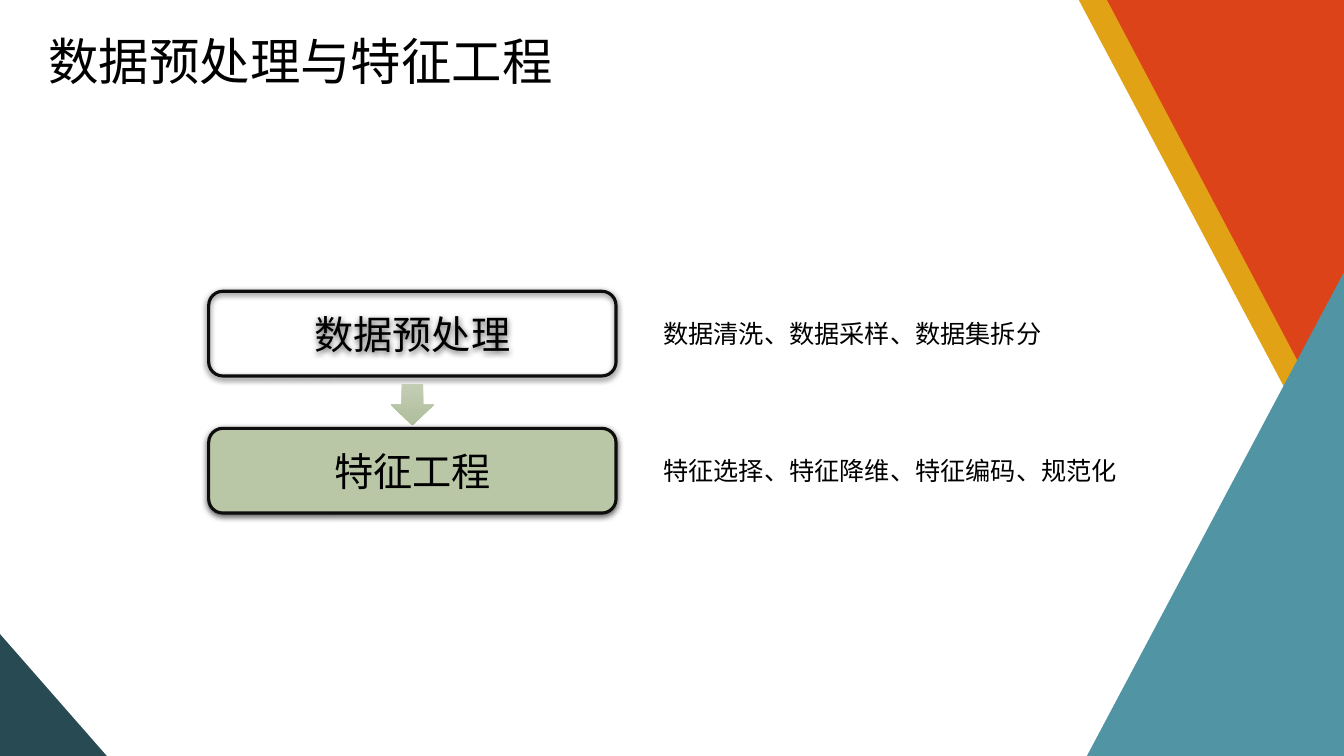
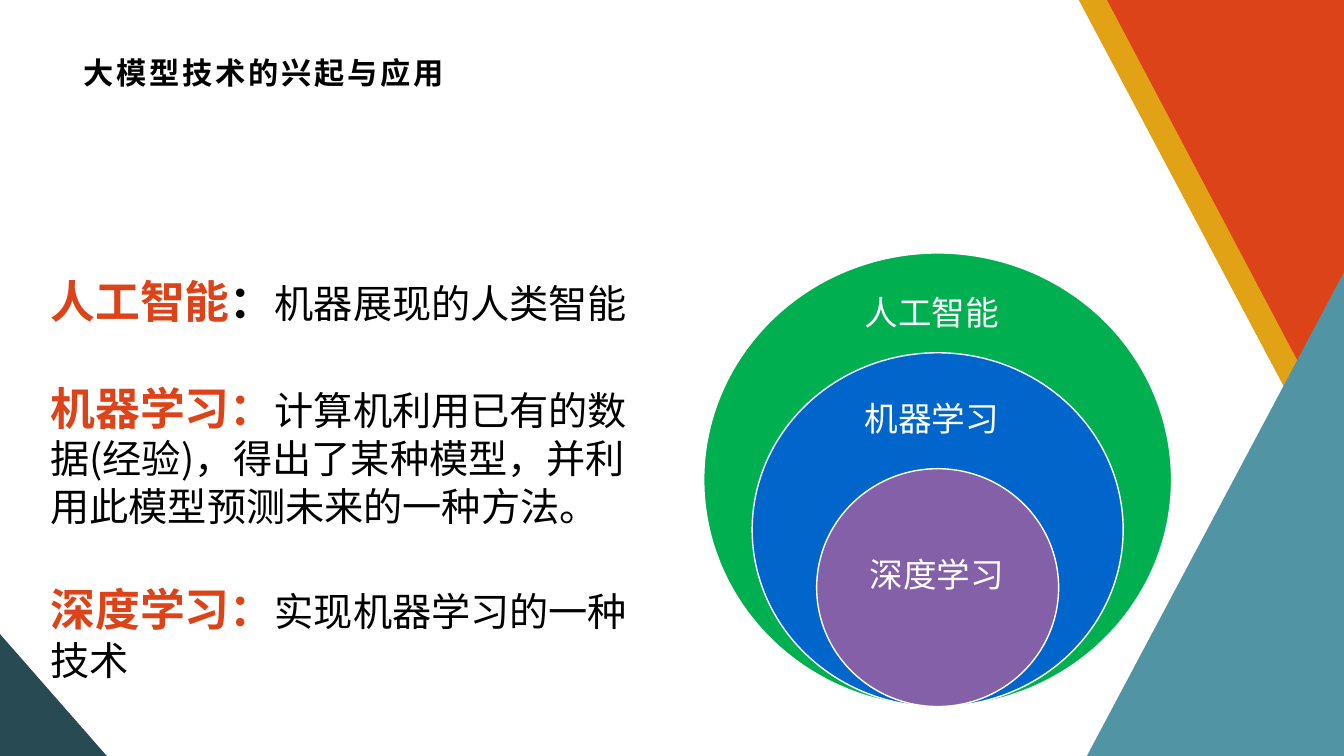
from collections import namedtuple
from dataclasses import dataclass

from lxml import etree
from pptx import Presentation
from pptx.dml.color import RGBColor
from pptx.enum.shapes import MSO_SHAPE as Preset
from pptx.enum.text import MSO_ANCHOR as Anchor, MSO_AUTO_SIZE as AutoSize, PP_ALIGN as Align
from pptx.oxml import parse_xml
from pptx.oxml.ns import nsdecls, qn
from pptx.util import Inches, Pt

Box = namedtuple("Box", "left top width height")


@dataclass(frozen=True)
class Theme:
    """Colours and type sizes shared by the slides."""
    font: str = "Noto Sans CJK SC"
    black: str = "000000"
    white: str = "FFFFFF"
    outline: str = "0D0D0D"
    gold: str = "E1A215"
    red: str = "DD4319"
    teal: str = "5195A5"
    dark_teal: str = "284A52"
    sage: str = "BAC7A7"
    arrow_top: str = "C3CDB5"
    arrow_bottom: str = "AEBE9B"
    green: str = "00B050"
    blue: str = "0066CC"
    purple: str = "8460A8"
    title_size: float = 36
    small_title_size: float = 21.6
    term_size: float = 32
    body_size: float = 28
    circle_size: float = 24
    note_size: float = 18


THEME = Theme()
TRIANGLES = (
    (THEME.gold, ((13.06, 4.45), (13.06, 0), (10.7, 0))),
    (THEME.red, ((13.33, 4.45), (13.33, 0), (10.98, 0))),
    (THEME.teal, ((13.33, 2.7), (13.33, 7.5), (10.78, 7.5))),
    (THEME.dark_teal, ((0, 6.29), (0, 7.5), (1.06, 7.5))),
)


def place(shape, box):
    """Move a shape to a box given in inches."""
    shape.left, shape.top, shape.width, shape.height = (Inches(value) for value in box)


def paint(shape, fill=None, line=None, line_width=1):
    """Set fill and outline, and drop the inherited shadow."""
    shape.shadow.inherit = False
    if fill:
        shape.fill.solid()
        shape.fill.fore_color.rgb = RGBColor.from_string(fill)
    else:
        shape.fill.background()
    if line:
        shape.line.color.rgb = RGBColor.from_string(line)
        shape.line.width = Pt(line_width)
    else:
        shape.line.fill.background()


def add_run(paragraph, text, size, color=THEME.black, bold=False, spacing=0):
    """Add one formatted run to a paragraph."""
    run = paragraph.add_run()
    run.text = text
    font = run.font
    font.name, font.size, font.bold = THEME.font, Pt(size), bold
    font.color.rgb = RGBColor.from_string(color)
    properties = run._r.get_or_add_rPr()
    etree.SubElement(properties, qn("a:ea")).set("typeface", THEME.font)
    if spacing:
        properties.set("spc", str(spacing * 100))


def write_line(shape, text, size, color=THEME.black, align=Align.LEFT, **style):
    """Write one vertically centred line into a shape."""
    frame = shape.text_frame
    frame.word_wrap = True
    frame.auto_size = AutoSize.NONE
    frame.vertical_anchor = Anchor.MIDDLE
    frame.margin_top = frame.margin_bottom = 0
    paragraph = frame.paragraphs[0]
    paragraph.alignment = align
    add_run(paragraph, text, size, color, **style)


def add_label(slide, box, text, size, color=THEME.black):
    """Add a single-line text box."""
    label = slide.shapes.add_textbox(*(Inches(value) for value in box))
    write_line(label, text, size, color)


def add_preset(slide, preset, box):
    """Add a preset shape at a box given in inches."""
    return slide.shapes.add_shape(preset, *(Inches(value) for value in box))


def add_title(slide, box, text, size, **style):
    """Place and fill the title placeholder."""
    place(slide.shapes.title, box)
    write_line(slide.shapes.title, text, size, **style)


def decorate_master(master, slide):
    """Put the corner triangles on the slide master."""
    for number, (color, points) in enumerate(TRIANGLES):
        start, *others = [(Inches(x), Inches(y)) for x, y in points]
        builder = slide.shapes.build_freeform(*start)
        builder.add_line_segments(others)
        triangle = builder.convert_to_shape()
        paint(triangle, color)
        triangle.element.nvSpPr.cNvPr.set("id", str(101 + number))
        master.shapes.element.insert(2 + number, triangle.element)


def add_soft_shadow(shape):
    """Cast a short blurred shadow below a shape."""
    effects = shape.element.spPr.find(qn("a:effectLst"))
    effects.append(parse_xml(
        f'<a:outerShdw {nsdecls("a")} blurRad="{Pt(4.5)}" dist="{Pt(1.5)}" dir="5400000" '
        f'rotWithShape="0"><a:srgbClr val="{THEME.black}"><a:alpha val="63000"/>'
        '</a:srgbClr></a:outerShdw>'))


def add_process(slide, box, steps):
    """Stack steps with notes beside them and arrows between them."""
    step_width, step_height, note_height = 4.04, 0.84, 0.4
    arrow_width, arrow_height, arrow_gap = 0.43, 0.41, 0.08
    note_left = box.left + step_width + 0.37
    pitch = (box.height - step_height) / (len(steps) - 1)
    for index, (name, note, fill) in enumerate(steps):
        top = box.top + index * pitch
        step = add_preset(slide, Preset.ROUNDED_RECTANGLE,
                          Box(box.left, top, step_width, step_height))
        paint(step, fill, THEME.outline, 2.25)
        add_soft_shadow(step)
        write_line(step, name, THEME.body_size, align=Align.CENTER)
        add_label(slide, Box(note_left, top + (step_height - note_height) / 2,
                             box.left + box.width - note_left, note_height),
                  note, THEME.note_size)
        if index < len(steps) - 1:
            arrow = add_preset(slide, Preset.DOWN_ARROW, Box(
                box.left + (step_width - arrow_width) / 2,
                top + step_height + arrow_gap, arrow_width, arrow_height))
            paint(arrow)
            arrow.fill.gradient()
            arrow.fill.gradient_angle = 270
            for stop, color in zip(arrow.fill.gradient_stops,
                                   (THEME.arrow_top, THEME.arrow_bottom)):
                stop.color.rgb = RGBColor.from_string(color)


def add_definitions(slide, box, definitions):
    """Fill the body placeholder with terms and their meanings."""
    body = slide.placeholders[1]
    place(body, box)
    frame = body.text_frame
    frame.word_wrap = True
    frame.auto_size = AutoSize.NONE
    frame.vertical_anchor = Anchor.TOP
    for index, (term, colon_color, meaning) in enumerate(definitions):
        paragraph = frame.add_paragraph() if index else frame.paragraphs[0]
        properties = paragraph._p.get_or_add_pPr()
        properties.set("marL", "0")
        properties.set("indent", "0")
        etree.SubElement(properties, qn("a:buNone"))
        paragraph.alignment = Align.LEFT
        paragraph.line_spacing = Pt(34)
        paragraph.space_before = Pt(42 if index else 0)
        add_run(paragraph, term, THEME.term_size, THEME.red, bold=True)
        add_run(paragraph, "：", THEME.term_size, colon_color, bold=True)
        add_run(paragraph, meaning, THEME.body_size)


def add_nested_circles(slide, box, circles):
    """Nest labelled ellipses that share their lowest point."""
    label_width, label_height = 1.55, 0.5
    center, bottom = box.left + box.width / 2, box.top + box.height
    for _, width, height, color, _, _ in circles:
        circle = add_preset(slide, Preset.OVAL,
                            Box(center - width / 2, bottom - height, width, height))
        paint(circle, color, THEME.white)
    for name, _, height, _, label_shift, label_drop in circles:
        add_label(slide, Box(center - label_width / 2 + label_shift,
                             bottom - height + label_drop, label_width, label_height),
                  name, THEME.circle_size, THEME.white)


def build_process_slide(slide):
    """Fill the slide on preprocessing and feature engineering."""
    add_title(slide, Box(0.38, 0.22, 5.73, 0.75), "数据预处理与特征工程", THEME.title_size)
    add_process(slide, Box(2.07, 2.89, 9.3, 2.2), (
        ("数据预处理", "数据清洗、数据采样、数据集拆分", None),
        ("特征工程", "特征选择、特征降维、特征编码、规范化", THEME.sage),
    ))


def build_concept_slide(slide):
    """Fill the slide on the rise of large models."""
    add_title(slide, Box(0.73, 0.48, 11.87, 0.48), "大模型技术的兴起与应用",
              THEME.small_title_size, bold=True, spacing=2)
    add_definitions(slide, Box(0.4, 2.73, 6.16, 4.2), (
        ("人工智能", THEME.black, "机器展现的人类智能"),
        ("机器学习", THEME.red,
         "计算机利用已有的数据(经验)，得出了某种模型，并利用此模型预测未来的一种方法。"),
        ("深度学习", THEME.red, "实现机器学习的一种技术"),
    ))
    add_nested_circles(slide, Box(6.98, 2.51, 4.64, 4.5), (
        ("人工智能", 4.64, 4.5, THEME.green, -0.05, 0.34),
        ("机器学习", 3.68, 3.51, THEME.blue, -0.05, 0.4),
        ("深度学习", 2.4, 2.36, THEME.purple, 0, 0.8),
    ))


def main():
    """Build and save the presentation."""
    presentation = Presentation()
    presentation.slide_width, presentation.slide_height = Inches(13.33), Inches(7.5)
    layouts = presentation.slide_layouts
    process_slide = presentation.slides.add_slide(layouts.get_by_name("Title Only"))
    concept_slide = presentation.slides.add_slide(layouts.get_by_name("Title and Content"))
    decorate_master(presentation.slide_master, process_slide)
    build_process_slide(process_slide)
    build_concept_slide(concept_slide)
    presentation.save("out.pptx")


if __name__ == "__main__":
    main()
